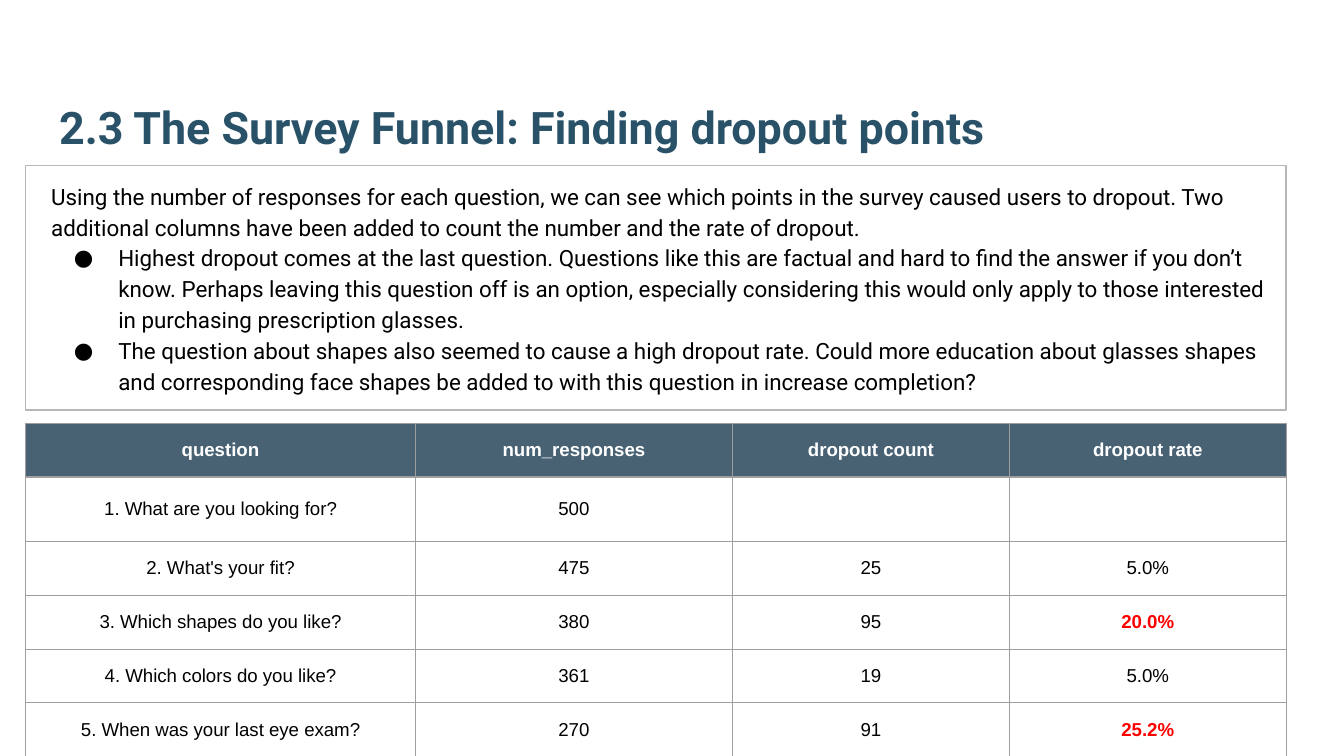
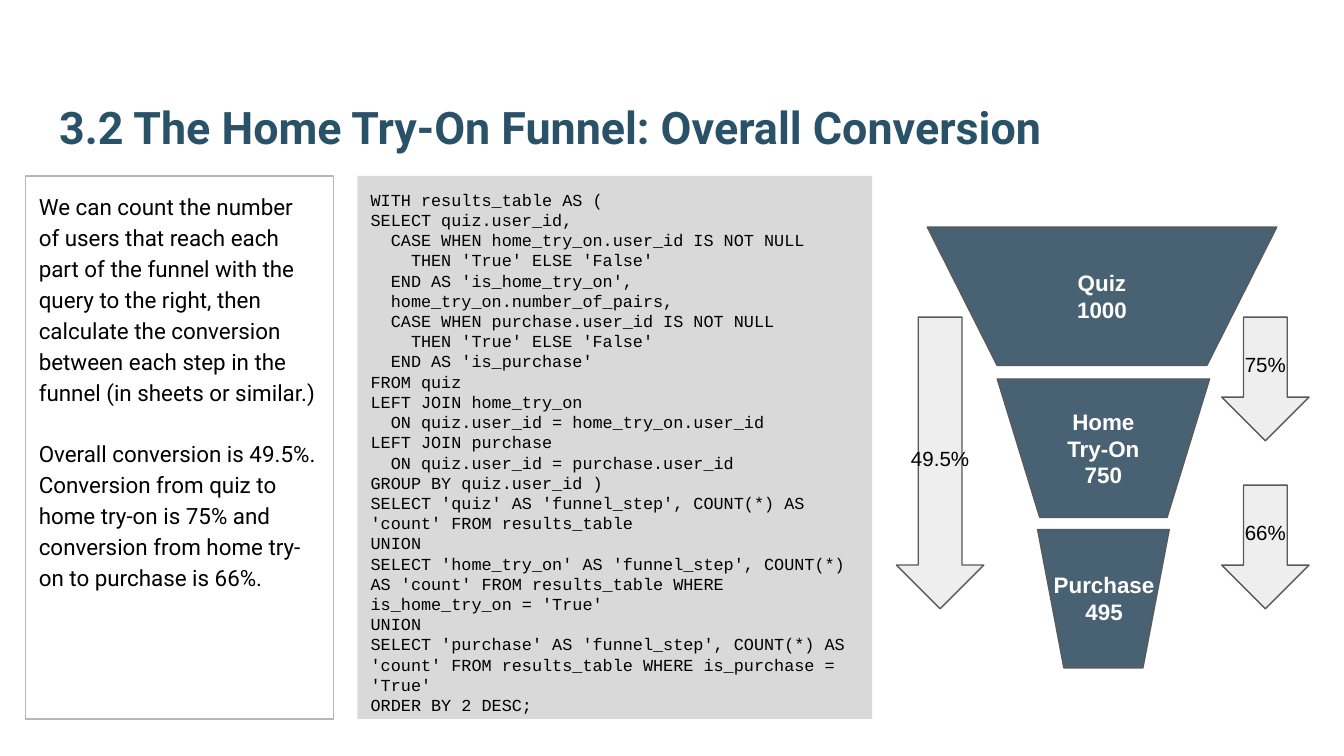
"""Build two survey and try-on funnel slides."""
from dataclasses import dataclass

import lxml.etree
import pptx
import pptx.dml.color
import pptx.enum.shapes
import pptx.enum.text
import pptx.oxml.ns
import pptx.util

Inches = pptx.util.Inches
Pt = pptx.util.Pt
MSO_SHAPE = pptx.enum.shapes.MSO_SHAPE
ANCHOR = pptx.enum.text.MSO_ANCHOR
ALIGN = pptx.enum.text.PP_ALIGN
qn = pptx.oxml.ns.qn

TITLE_COLOR = "295269"
NAVY = "204056"
NAVY_ALPHA = 82
BLACK, WHITE, RED = "000000", "FFFFFF", "FF0000"
PANEL_LINE, FUNNEL_LINE, GRID_LINE = "B7B7B7", "595959", "9E9E9E"
CODE_FILL, ARROW_FILL = "D9D9D9", "EEEEEE"
MARGIN = 0.1

DROPOUT_INTRO = (
    "Using the number of responses for each question, we can see which points in the survey "
    "caused users to dropout. Two additional columns have been added to count the number and "
    "the rate of dropout."
)
DROPOUT_FINDINGS = [
    "Highest dropout comes at the last question. Questions like this are factual and hard to "
    "find the answer if you don’t know. Perhaps leaving this question off is an option, "
    "especially considering this would only apply to those interested in purchasing "
    "prescription glasses.",
    "The question about shapes also seemed to cause a high dropout rate. Could more education "
    "about glasses shapes and corresponding face shapes be added to with this question in "
    "increase completion?",
]
DROPOUT_ROWS = [
    ["question", "num_responses", "dropout count", "dropout rate"],
    ["1. What are you looking for?", "500", "", ""],
    ["2. What's your fit?", "475", "25", "5.0%"],
    ["3. Which shapes do you like?", "380", "95", "20.0%"],
    ["4. Which colors do you like?", "361", "19", "5.0%"],
    ["5. When was your last eye exam?", "270", "91", "25.2%"],
]
HIGH_RATES = {"20.0%", "25.2%"}
COLUMN_WIDTHS = [2.9, 2.36, 2.06, 2.06]
ROW_HEIGHTS = [0.4, 0.48, 0.4, 0.4, 0.4, 0.4]

CONVERSION_TEXT = [
    "We can count the number of users that reach each part of the funnel with the query to the "
    "right, then calculate the conversion between each step in the funnel (in sheets or similar.)",
    "Overall conversion is 49.5%. Conversion from quiz to home try-on is 75% and conversion "
    "from home try-on to purchase is 66%.",
]
QUERY = """WITH results_table AS (
SELECT quiz.user_id,
  CASE WHEN home_try_on.user_id IS NOT NULL
    THEN 'True' ELSE 'False'
  END AS 'is_home_try_on',
  home_try_on.number_of_pairs,
  CASE WHEN purchase.user_id IS NOT NULL
    THEN 'True' ELSE 'False'
  END AS 'is_purchase'
FROM quiz
LEFT JOIN home_try_on
  ON quiz.user_id = home_try_on.user_id
LEFT JOIN purchase
  ON quiz.user_id = purchase.user_id
GROUP BY quiz.user_id )
SELECT 'quiz' AS 'funnel_step', COUNT(*) AS 'count' FROM results_table
UNION
SELECT 'home_try_on' AS 'funnel_step', COUNT(*) AS 'count' FROM results_table WHERE is_home_try_on = 'True'
UNION
SELECT 'purchase' AS 'funnel_step', COUNT(*) AS 'count' FROM results_table WHERE is_purchase = 'True'
ORDER BY 2 DESC;"""


@dataclass(frozen=True)
class Box:
    left: float
    top: float
    width: float
    height: float

    def lengths(self):
        return [Inches(side) for side in (self.left, self.top, self.width, self.height)]


@dataclass(frozen=True)
class Stage:
    box: Box
    lines: tuple[str, ...] = ()


@dataclass(frozen=True)
class Conversion:
    box: Box
    label: str
    label_top: float


STAGES = [
    Stage(Box(6.9, 1.69, 2.6, 1.03), ("Quiz", "1000")),
    Stage(Box(7.42, 2.82, 1.58, 1.03), ("Home Try-On", "750")),
    Stage(Box(7.72, 3.94, 0.98, 1.03)),
]
PURCHASE_LABEL = Stage(Box(7.64, 4.21, 1.15, 0.66), ("Purchase", "495"))
CONVERSIONS = [
    Conversion(Box(9.09, 2.36, 0.65, 0.92), "75%", 2.52),
    Conversion(Box(9.09, 3.61, 0.65, 0.92), "66%", 3.77),
    Conversion(Box(6.67, 2.36, 0.65, 2.17), "49.5%", 3.22),
]


def rgb(color: str):
    return pptx.dml.color.RGBColor.from_string(color)


def set_alpha(properties, percent: int) -> None:
    tint = properties.find(f"{qn('a:solidFill')}/{qn('a:srgbClr')}")
    lxml.etree.SubElement(tint, qn("a:alpha"), val=str(percent * 1000))


def set_bullet(paragraph, size: float, font: str) -> None:
    properties = paragraph._p.get_or_add_pPr()
    properties.set("marL", str(Inches(0.5)))
    properties.set("indent", str(Inches(-0.33)))
    bullet_color = lxml.etree.SubElement(properties, qn("a:buClr"))
    lxml.etree.SubElement(bullet_color, qn("a:srgbClr"), val=BLACK)
    lxml.etree.SubElement(properties, qn("a:buSzPts"), val=str(round(size * 100)))
    lxml.etree.SubElement(properties, qn("a:buFont"), typeface=font)
    lxml.etree.SubElement(properties, qn("a:buChar"), char="●")
    paragraph.font.size = Pt(size)


def write(frame, lines, *, size: float, font="Arial", color=BLACK, bold=False,
          align=ALIGN.LEFT, anchor=ANCHOR.TOP, spacing=1.0, gap=0.0,
          bullets_from=None, left=MARGIN, right=MARGIN, bottom=MARGIN) -> None:
    frame.word_wrap = True
    frame.auto_size = pptx.enum.text.MSO_AUTO_SIZE.NONE
    frame.vertical_anchor = anchor
    frame.margin_left, frame.margin_right = Inches(left), Inches(right)
    frame.margin_top, frame.margin_bottom = Inches(MARGIN), Inches(bottom)
    for index, line in enumerate(lines):
        paragraph = frame.add_paragraph() if index else frame.paragraphs[0]
        if bullets_from is not None and index >= bullets_from:
            set_bullet(paragraph, size, font)
        paragraph.alignment = align
        paragraph.line_spacing = spacing
        if index and gap:
            paragraph.space_before = Pt(gap)
        run = paragraph.add_run()
        run.text = line
        run.font.name = font
        run.font.size = Pt(size)
        run.font.bold = bold
        run.font.color.rgb = rgb(color)


def add_titled_slide(deck, title: str):
    slide = deck.slides.add_slide(deck.slide_layouts[5])
    heading = slide.shapes.title
    heading.left, heading.top, heading.width, heading.height = Box(0.34, 0.32, 9.32, 0.92).lengths()
    write(heading.text_frame, [title], size=24, font="Roboto", color=TITLE_COLOR,
          bold=True, anchor=ANCHOR.BOTTOM)
    return slide


def add_block(slide, kind, box: Box, *, fill=None, line=None, alpha=None):
    block = slide.shapes.add_shape(kind, *box.lengths())
    block.shadow.inherit = False
    if fill:
        block.fill.solid()
        block.fill.fore_color.rgb = rgb(fill)
    else:
        block.fill.background()
    if alpha:
        set_alpha(block._element.spPr, alpha)
    if line:
        block.line.color.rgb = rgb(line)
        block.line.width = Pt(0.75)
    else:
        block.line.fill.background()
    return block


def add_label(slide, box: Box, lines, **text_format) -> None:
    label = slide.shapes.add_textbox(*box.lengths())
    write(label.text_frame, lines, align=ALIGN.CENTER, **text_format)


def format_cell(cell, text: str, header: bool) -> None:
    properties = cell._tc.get_or_add_tcPr()
    for side in ("lnL", "lnR", "lnT", "lnB"):
        edge = lxml.etree.SubElement(properties, qn(f"a:{side}"), w=str(Pt(0.75)))
        solid = lxml.etree.SubElement(edge, qn("a:solidFill"))
        lxml.etree.SubElement(solid, qn("a:srgbClr"), val=GRID_LINE)
    if header:
        cell.fill.solid()
        cell.fill.fore_color.rgb = rgb(NAVY)
        set_alpha(properties, NAVY_ALPHA)
    else:
        cell.fill.background()
    cell.vertical_anchor = ANCHOR.MIDDLE
    cell.margin_left = cell.margin_right = Inches(MARGIN)
    cell.margin_top = cell.margin_bottom = Inches(MARGIN)
    paragraph = cell.text_frame.paragraphs[0]
    paragraph.alignment = ALIGN.CENTER
    if not text:
        paragraph.font.size = Pt(10)
        return
    high = text in HIGH_RATES
    run = paragraph.add_run()
    run.text = text
    run.font.name = "Arial"
    run.font.size = Pt(10)
    run.font.bold = header or high
    run.font.color.rgb = rgb(WHITE if header else RED if high else BLACK)


def add_dropout_table(slide) -> None:
    box = Box(0.19, 3.15, sum(COLUMN_WIDTHS), sum(ROW_HEIGHTS))
    table = slide.shapes.add_table(len(ROW_HEIGHTS), len(COLUMN_WIDTHS), *box.lengths()).table
    table.horz_banding = False
    for column, width in zip(table.columns, COLUMN_WIDTHS):
        column.width = Inches(width)
    for row_index, (row, height) in enumerate(zip(DROPOUT_ROWS, ROW_HEIGHTS)):
        table.rows[row_index].height = Inches(height)
        for column_index, text in enumerate(row):
            format_cell(table.cell(row_index, column_index), text, row_index == 0)


def build_dropout_slide(deck) -> None:
    slide = add_titled_slide(deck, "2.3 The Survey Funnel: Finding dropout points")
    findings = add_block(slide, MSO_SHAPE.RECTANGLE, Box(0.19, 1.23, 9.38, 1.82), line=PANEL_LINE)
    write(findings.text_frame, [DROPOUT_INTRO, *DROPOUT_FINDINGS], size=12, font="Roboto",
          spacing=1.15, bullets_from=1, left=0.19)
    add_dropout_table(slide)


def build_conversion_slide(deck) -> None:
    slide = add_titled_slide(deck, "3.2 The Home Try-On Funnel: Overall Conversion")
    summary = add_block(slide, MSO_SHAPE.RECTANGLE, Box(0.19, 1.31, 2.29, 4.04), line=PANEL_LINE)
    write(summary.text_frame, CONVERSION_TEXT, size=12, font="Roboto", spacing=1.15, gap=16.5,
          right=0.12)
    query = add_block(slide, MSO_SHAPE.RECTANGLE, Box(2.66, 1.31, 3.83, 4.04), fill=CODE_FILL)
    write(query.text_frame, QUERY.splitlines(), size=9, font="Courier New")

    stage_format = dict(size=12, color=WHITE, bold=True, anchor=ANCHOR.MIDDLE)
    for stage in STAGES:
        funnel_step = add_block(slide, MSO_SHAPE.FLOWCHART_MANUAL_OPERATION, stage.box,
                                fill=NAVY, line=FUNNEL_LINE, alpha=NAVY_ALPHA)
        write(funnel_step.text_frame, stage.lines, align=ALIGN.CENTER, **stage_format)
    add_label(slide, PURCHASE_LABEL.box, PURCHASE_LABEL.lines, bottom=0.28, **stage_format)

    for conversion in CONVERSIONS:
        box = conversion.box
        add_block(slide, MSO_SHAPE.DOWN_ARROW, box, fill=ARROW_FILL, line=FUNNEL_LINE)
        add_label(slide, Box(box.left, conversion.label_top, box.width, 0.4),
                  [conversion.label], size=11)


def main() -> None:
    deck = pptx.Presentation()
    deck.slide_width = Inches(10)
    deck.slide_height = deck.slide_width * 9 // 16
    build_dropout_slide(deck)
    build_conversion_slide(deck)
    deck.save("out.pptx")


if __name__ == "__main__":
    main()
